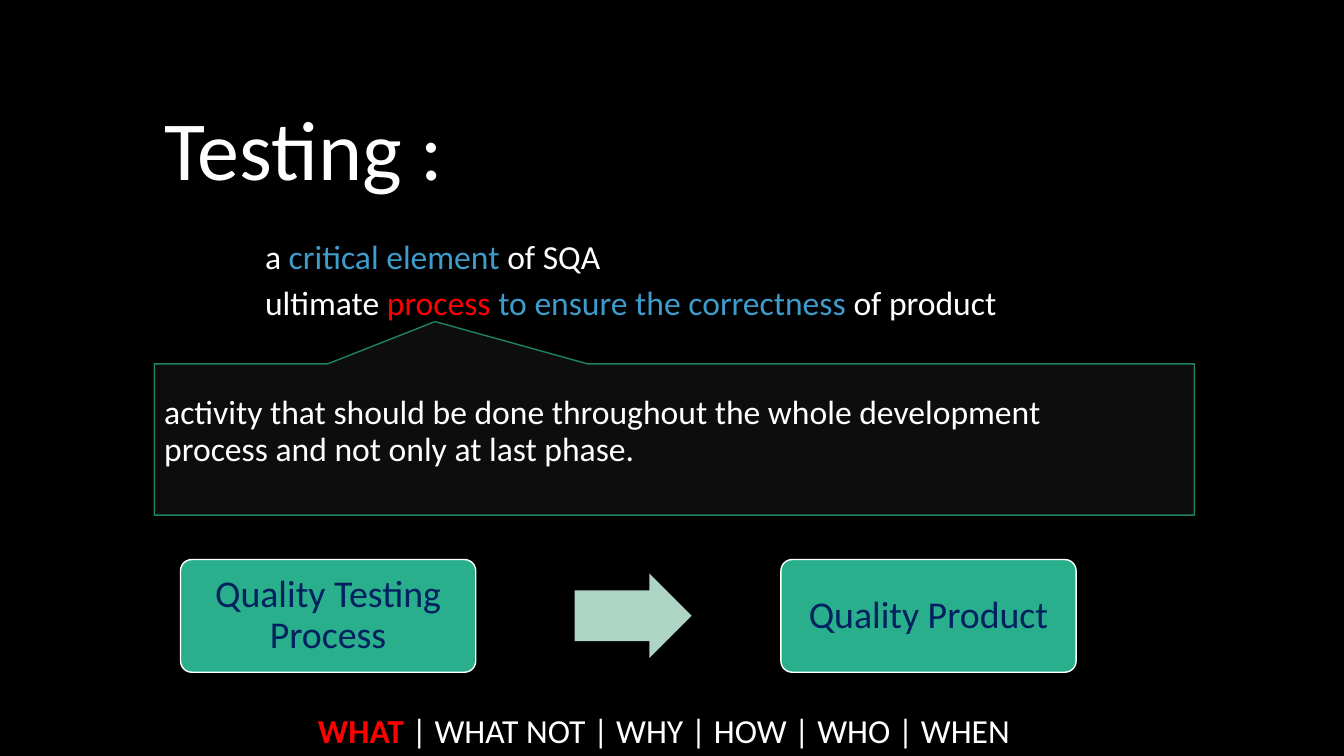
from pptx import Presentation
from pptx.dml.color import RGBColor
from pptx.enum.shapes import MSO_SHAPE
from pptx.enum.text import MSO_ANCHOR, PP_ALIGN
from pptx.util import Cm, Pt

BLACK = RGBColor(0x00, 0x00, 0x00)
WHITE = RGBColor(0xFF, 0xFF, 0xFF)
RED = RGBColor(0xFF, 0x00, 0x00)
BLUE = RGBColor(0x3D, 0x9C, 0xCC)
NAVY = RGBColor(0x00, 0x20, 0x60)
GREEN = RGBColor(0x29, 0xAF, 0x8C)
PALE_GREEN = RGBColor(0xAD, 0xD4, 0xC5)
DARK_GREEN = RGBColor(0x1E, 0x81, 0x68)
CHARCOAL = RGBColor(0x0D, 0x0D, 0x0D)

FONT = "Calibri"
LEFT = 3.89
CARD_TOP, CARD_WIDTH, CARD_HEIGHT = 14.1, 7.44, 2.84


def write(shape, paragraphs, size, align=PP_ALIGN.LEFT,
          anchor=MSO_ANCHOR.TOP, gap=0):
    """Fill a shape with paragraphs, each a list of (text, colour) runs."""
    frame = shape.text_frame
    frame.word_wrap = True
    frame.vertical_anchor = anchor
    for index, runs in enumerate(paragraphs):
        paragraph = frame.add_paragraph() if index else frame.paragraphs[0]
        paragraph.alignment = align
        paragraph.line_spacing = 0.9
        if index:
            paragraph.space_before = Pt(gap)
        for text, colour in runs:
            run = paragraph.add_run()
            run.text = text
            run.font.name = FONT
            run.font.size = Pt(size)
            run.font.color.rgb = colour
    return frame


def add_text(slide, left, top, width, height, paragraphs, size, **layout):
    box = slide.shapes.add_textbox(Cm(left), Cm(top), Cm(width), Cm(height))
    return write(box, paragraphs, size, **layout)


def add_block(slide, kind, left, top, width, height, fill, line=None):
    block = slide.shapes.add_shape(kind, Cm(left), Cm(top), Cm(width), Cm(height))
    block.shadow.inherit = False
    block.fill.solid()
    block.fill.fore_color.rgb = fill
    if line is None:
        block.line.fill.background()
    else:
        block.line.color.rgb = line
        block.line.width = Pt(1)
    return block


def add_callout(slide, text):
    callout = add_block(slide, MSO_SHAPE.RECTANGULAR_CALLOUT,
                        LEFT, 9.17, 26.21, 3.81, CHARCOAL, DARK_GREEN)
    callout.adjustments[0] = -0.23
    callout.adjustments[1] = -0.78
    frame = write(callout, [[(text, WHITE)]], 24, anchor=MSO_ANCHOR.MIDDLE)
    frame.margin_right = Cm(1.4)
    frame.margin_bottom = Cm(0.5)


def add_card(slide, left, text):
    card = add_block(slide, MSO_SHAPE.ROUNDED_RECTANGLE,
                     left, CARD_TOP, CARD_WIDTH, CARD_HEIGHT, GREEN, WHITE)
    card.adjustments[0] = 0.1
    write(card, [[(text, NAVY)]], 27, PP_ALIGN.CENTER, MSO_ANCHOR.MIDDLE)


def main():
    deck = Presentation()
    deck.slide_width, deck.slide_height = Cm(33.87), Cm(19.05)
    slide = deck.slides.add_slide(deck.slide_layouts[6])
    slide.background.fill.solid()
    slide.background.fill.fore_color.rgb = BLACK

    # Heading and definition
    add_text(slide, LEFT, 2.6, 25.4, 2.8, [[("Testing :", WHITE)]], 60)
    definition = [
        [("a ", WHITE), ("critical element", BLUE), (" of SQA", WHITE)],
        [("ultimate ", WHITE), ("process ", RED),
         ("to ensure the correctness ", BLUE), ("of product", WHITE)],
    ]
    add_text(slide, 6.43, 5.94, 22.86, 2.4, definition, 24, gap=7)

    # Callout pointing at "process"
    add_callout(slide, "activity that should be done throughout the whole "
                       "development process and not only at last phase.")

    # From process to product
    add_card(slide, 4.55, "Quality Testing Process")
    add_block(slide, MSO_SHAPE.RIGHT_ARROW, 14.48, 14.45, 2.95, 2.13,
              PALE_GREEN).adjustments[0] = 0.6
    add_card(slide, 19.68, "Quality Product")

    # Question bar
    questions = [[("WHAT ", RED), ("| WHAT NOT | WHY | HOW | WHO | WHEN", WHITE)]]
    bar = add_text(slide, 0, 17.53, 33.47, 1.52, questions, 24,
                   align=PP_ALIGN.CENTER, anchor=MSO_ANCHOR.BOTTOM)
    bar.paragraphs[0].runs[0].font.bold = True

    deck.save("out.pptx")


if __name__ == "__main__":
    main()
